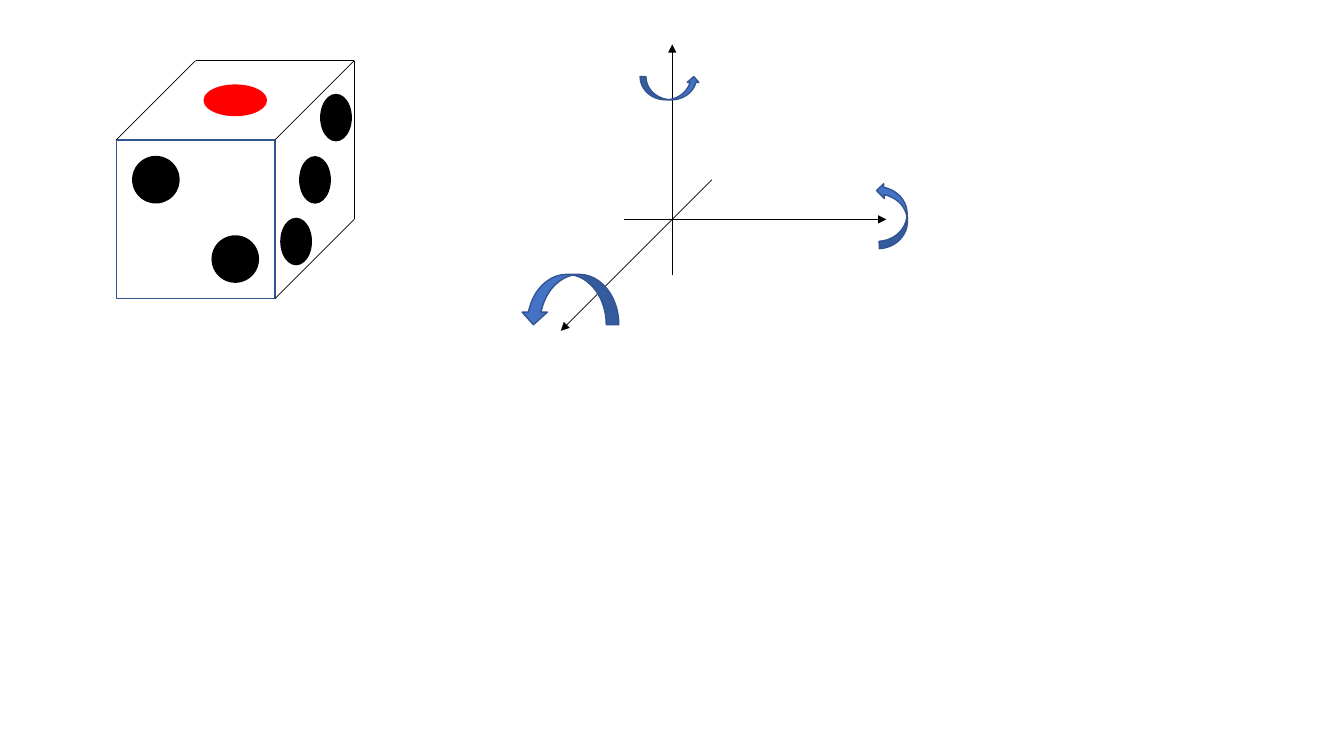
import pptx
import pptx.dml.color
import pptx.enum.shapes
import pptx.oxml.ns
import pptx.util
from lxml import etree

Pt = pptx.util.Pt
SHAPE = pptx.enum.shapes.MSO_SHAPE
COLORS = {"black": "000000", "red": "FF0000", "blue": "4472C4", "navy": "325491"}


def rgb(name):
    return pptx.dml.color.RGBColor.from_string(COLORS[name])


class Canvas:
    """Style and current slide; lengths are in points."""

    thin, outline = 0.5, 1

    def __init__(self, slide):
        self.slide = slide

    def shape(self, kind, cx, cy, w, h, fill=None, line=None, rotation=0):
        sp = self.slide.shapes.add_shape(
            kind, Pt(cx - w / 2), Pt(cy - h / 2), Pt(w), Pt(h))
        sp.shadow.inherit = False
        sp.rotation = rotation
        if fill:
            sp.fill.solid()
            sp.fill.fore_color.rgb = rgb(fill)
        else:
            sp.fill.background()
        if line:
            sp.line.color.rgb = rgb(line)
            sp.line.width = Pt(self.outline)
        else:
            sp.line.fill.background()

    def line(self, start, end, arrow=False):
        cn = self.slide.shapes.add_connector(
            pptx.enum.shapes.MSO_CONNECTOR.STRAIGHT,
            *(Pt(v) for v in (*start, *end)))
        cn.line.color.rgb = rgb("black")
        cn.line.width = Pt(self.thin)
        qn = pptx.oxml.ns.qn
        if arrow:
            ln = cn.line._get_or_add_ln()
            etree.SubElement(ln, qn("a:tailEnd"), type="triangle")
        etree.SubElement(cn._element.spPr, qn("a:effectLst"))

    def pip(self, cx, cy, w, h, fill="black"):
        self.shape(SHAPE.OVAL, cx, cy, w, h, fill)

    def turn(self, cx, cy, w, h, rotation):
        self.shape(SHAPE.CURVED_RIGHT_ARROW, cx, cy, w, h, "blue", "navy", rotation)


def main():
    prs = pptx.Presentation()
    prs.slide_width, prs.slide_height = Pt(960), Pt(540)
    canvas = Canvas(prs.slides.add_slide(prs.slide_layouts[6]))

    # Die: square front face, with the back corners offset by the depth
    left, top, side, depth = 83, 100, 113.4, 56.7
    right, bottom = left + side, top + side
    back_right = (right + depth, top - depth)
    back_left = (left + depth, top - depth)
    back_bottom = (right + depth, bottom - depth)
    canvas.shape(SHAPE.RECTANGLE, left + side / 2, top + side / 2, side, side,
                 line="navy")
    for start, end in (
        (back_right, back_bottom),
        (back_right, back_left),
        (back_left, (left, top)),
        (back_right, (right, top)),
        (back_bottom, (right, bottom)),
    ):
        canvas.line(start, end)

    # Pips on the top, front and right faces
    long, short = 34, 22.7
    canvas.pip((left + back_right[0]) / 2, top - depth / 2, 45.4, short, "red")
    for share in (0.25, 0.75):
        canvas.pip(left + share * side, top + share * side, long, long)
    for cx, cy in ((240, 84), (225, 128.5), (211.5, 172.5)):
        canvas.pip(cx, cy, short, long)

    # Axes through a common origin
    ox, oy = 480.2, 156.7
    canvas.line((ox + 28.3, oy - 28.3), (ox - 79.6, oy + 79.6), arrow=True)
    canvas.line((ox - 34.5, oy), (ox + 153, oy), arrow=True)
    canvas.line((ox, oy + 39.8), (ox, oy - 125), arrow=True)

    # Rotation arrows around the axes
    canvas.turn(407, 214, 36, 70, 90)
    canvas.turn(637.5, 153.7, 21, 46.8, 177.2)
    canvas.turn(478.5, 63, 16.6, 42.5, 270)

    prs.save("out.pptx")


if __name__ == "__main__":
    main()
